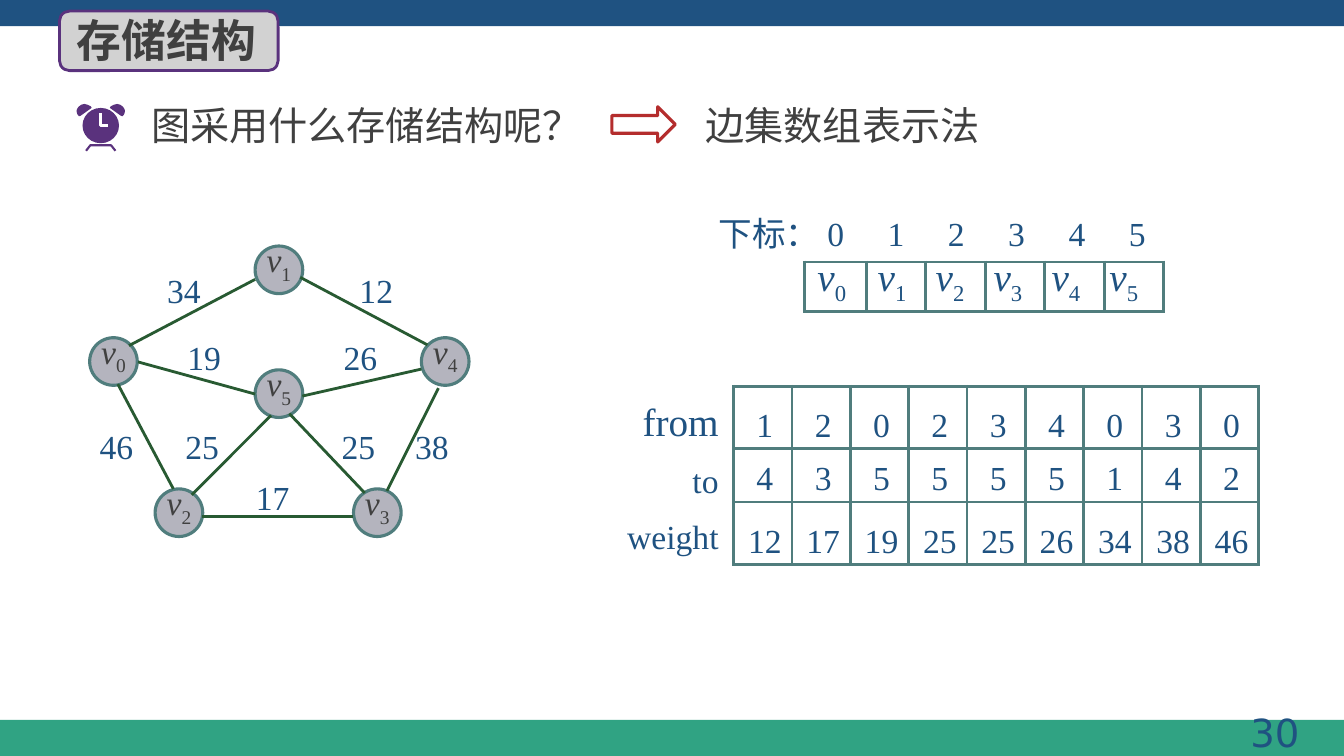
from lxml.etree import SubElement
from pptx import Presentation
from pptx.dml.color import RGBColor
from pptx.enum.shapes import MSO_CONNECTOR, MSO_SHAPE
from pptx.enum.text import MSO_ANCHOR, PP_ALIGN
from pptx.oxml import parse_xml
from pptx.oxml.ns import nsdecls, qn
from pptx.util import Cm, Pt

NAVY = RGBColor(0x1F, 0x52, 0x81)
GREEN = RGBColor(0x30, 0xA3, 0x83)
PURPLE = RGBColor(0x5A, 0x32, 0x7D)
RED = RGBColor(0xB4, 0x2D, 0x2D)
TEXT = RGBColor(0x40, 0x40, 0x40)
SILVER = RGBColor(0xD2, 0xD2, 0xD2)
NODE = RGBColor(0xB4, 0xB4, 0xBE)
TEAL = RGBColor(0x50, 0x7D, 0x7D)
EDGE = RGBColor(0x28, 0x5A, 0x32)
WHITE = RGBColor(0xFF, 0xFF, 0xFF)
SERIF = "Times New Roman"
CJK = "Noto Sans CJK SC"

VERTICES = [(0, 2.31), (4.17, 0), (1.65, 6.12), (6.65, 6.12), (8.36, 2.31), (4.17, 3.12)]
EDGES = [
    (1, 4, 12, (5.31, 0.79), (8.51, 2.49), (6.55, 0.48)),
    (2, 3, 17, (2.84, 6.81), (6.63, 6.81), (3.94, 5.69)),
    (0, 5, 19, (1.22, 2.92), (4.17, 3.73), (2.21, 2.16)),
    (2, 5, 25, (2.57, 6.27), (4.57, 4.27), (2.16, 4.42)),
    (3, 5, 25, (6.93, 6.22), (5.03, 4.22), (6.1, 4.42)),
    (4, 5, 26, (8.36, 3.1), (5.36, 3.78), (6.15, 2.16)),
    (0, 1, 34, (0.99, 2.51), (4.17, 0.84), (1.7, 0.48)),
    (3, 4, 38, (7.49, 6.17), (8.79, 3.58), (7.95, 4.42)),
    (0, 2, 46, (2.11, 6.12), (0.71, 3.48), (0, 4.42)),
]


def paint(shape, fill=None, line=None, weight=2.25):
    shape.shadow.inherit = False
    if fill is None:
        shape.fill.background()
    else:
        shape.fill.solid()
        shape.fill.fore_color.rgb = fill
    if line is None:
        shape.line.fill.background()
    else:
        shape.line.color.rgb = line
        shape.line.width = Pt(weight)
    return shape


def add_block(slide, kind, left, top, width, height, **look):
    block = slide.shapes.add_shape(kind, Cm(left), Cm(top), Cm(width), Cm(height))
    return paint(block, **look)


def style_run(run, size, color=NAVY, font=SERIF):
    run.font.size = Pt(size)
    run.font.name = font
    run.font.color.rgb = color


def add_label(slide, words, left, top, width, height, size, color=NAVY, font=SERIF,
              align=PP_ALIGN.LEFT):
    label = slide.shapes.add_textbox(Cm(left), Cm(top), Cm(width), Cm(height))
    label.text_frame.word_wrap = True
    label.text_frame.text = words
    for paragraph in label.text_frame.paragraphs:
        paragraph.alignment = align
        for run in paragraph.runs:
            style_run(run, size, color, font)
    return label


def write_vertex(paragraph, index, size, color, spacing):
    paragraph.line_spacing = Pt(spacing)
    for words in ("v", str(index)):
        run = paragraph.add_run()
        run.text = words
        style_run(run, size, color)
    letter, subscript = paragraph.runs
    letter.font.italic = True
    subscript._r.get_or_add_rPr().set("baseline", "-25000")


def add_outline(slide, points, closed, **look):
    corners = [(Cm(x), Cm(y)) for x, y in points]
    builder = slide.shapes.build_freeform(*corners[0])
    builder.add_line_segments(corners[1:], close=closed)
    return paint(builder.convert_to_shape(), **look)


def add_grid(slide, left, top, widths, heights):
    frame = slide.shapes.add_table(len(heights), len(widths), Cm(left), Cm(top),
                                   Cm(sum(widths)), Cm(sum(heights)))
    grid = frame.table
    grid.first_row = grid.horz_banding = False
    for column, width in zip(grid.columns, widths):
        column.width = Cm(width)
    for row, height in zip(grid.rows, heights):
        row.height = Cm(height)
    for cell_element in frame.element.iter(qn("a:tc")):
        properties = cell_element.get_or_add_tcPr()
        for side in ("lnL", "lnR", "lnT", "lnB"):
            properties.append(parse_xml(
                f'<a:{side} {nsdecls("a")} w="{Pt(2.25)}"><a:solidFill>'
                f'<a:srgbClr val="{TEAL}"/></a:solidFill></a:{side}>'))
    for cell in grid.iter_cells():
        cell.fill.background()
        cell.margin_left = cell.margin_right = cell.margin_top = cell.margin_bottom = 0
    return grid


def build_frame(slide, width, height):
    add_block(slide, MSO_SHAPE.RECTANGLE, 0, height - 0.91, width, 0.91, fill=GREEN)
    add_block(slide, MSO_SHAPE.RECTANGLE, 0, 0, width, 0.66, fill=NAVY)
    add_label(slide, "30", width - 8.34, height - 1.3, 7.47, 1.45, 27.6,
              font="DejaVu Sans", align=PP_ALIGN.RIGHT)


def build_title(slide, left, top, width, height):
    badge = add_block(slide, MSO_SHAPE.ROUNDED_RECTANGLE, left, top, width, height,
                      fill=SILVER, line=PURPLE, weight=2)
    title = slide.shapes.title
    badge.element.addnext(title.element)
    title.left, title.top = Cm(left + 0.18), Cm(top - 0.1)
    title.width, title.height = Cm(width - 0.13), Cm(height + 0.13)
    title.text_frame.text = "存储结构"
    title.text_frame.vertical_anchor = MSO_ANCHOR.MIDDLE
    heading = title.text_frame.paragraphs[0]
    heading.alignment = PP_ALIGN.LEFT
    style_run(heading.runs[0], 32, TEXT, CJK)
    heading.runs[0].font.bold = True


def build_clock(slide, left, top):
    bell = [(0.2, 0), (0.12, 0.02), (0.05, 0.07), (0.01, 0.13), (0, 0.19), (0.02, 0.26),
            (0.06, 0.31), (0.1, 0.3), (0.38, 0.1), (0.36, 0.06), (0.28, 0.02)]
    for mirrored in (False, True):
        add_outline(slide, [(left + (1.22 - x if mirrored else x), top + y) for x, y in bell],
                    True, fill=PURPLE)
    add_block(slide, MSO_SHAPE.OVAL, left + 0.15, top + 0.1, 0.92, 0.89, fill=PURPLE)
    feet = [(0.24, 1.18), (0.35, 1.04), (0.87, 1.04), (0.98, 1.18)]
    hands = [(0.61, 0.24), (0.61, 0.55), (0.79, 0.55)]
    for strokes, color, weight in ((feet, PURPLE, 1.5), (hands, WHITE, 2.25)):
        add_outline(slide, [(left + x, top + y) for x, y in strokes], False,
                    line=color, weight=weight)


def build_question(slide, left, top):
    build_clock(slide, left, top + 0.18)
    add_label(slide, "图采用什么存储结构呢？", left + 1.63, top, 11, 1.45, 28, TEXT, CJK)
    add_block(slide, MSO_SHAPE.RIGHT_ARROW, left + 13.49, top + 0.25, 1.6, 0.89, line=RED)
    add_label(slide, "边集数组表示法", left + 15.6, top, 11.38, 1.45, 28, TEXT, CJK)


def build_graph(slide, left, top):
    for index, (x, y) in enumerate(VERTICES):
        vertex = add_block(slide, MSO_SHAPE.OVAL, left + x, top + y, 1.2, 1.2,
                           fill=NODE, line=TEAL)
        frame = vertex.text_frame
        frame.margin_left = frame.margin_right = frame.margin_top = frame.margin_bottom = 0
        frame.paragraphs[0].alignment = PP_ALIGN.CENTER
        write_vertex(frame.paragraphs[0], index, 24, TEXT, 22)
    for _, _, weight, start, end, label in EDGES:
        edge = slide.shapes.add_connector(
            MSO_CONNECTOR.STRAIGHT, Cm(left + start[0]), Cm(top + start[1]),
            Cm(left + end[0]), Cm(top + end[1]))
        edge.line.color.rgb = EDGE
        edge.line.width = Pt(2)
        SubElement(edge.element.spPr, qn("a:effectLst"))
        add_label(slide, str(weight), left + label[0], top + label[1], 1.68, 1.27, 24)


def build_vertex_array(slide, left, top):
    count = len(VERTICES)
    subscripts = "\t".join(["下标：", *map(str, range(count))])
    indices = add_label(slide, subscripts, left - 2.41, top - 1.37, 11.89, 1.27, 24)
    stops = SubElement(indices.element.find(".//" + qn("a:pPr")), qn("a:tabLst"))
    for index in range(count):
        SubElement(stops, qn("a:tab"), pos=str(Cm(2.95 + 1.52 * index)), algn="ctr")
    array = add_grid(slide, left, top, [1.56] + [1.5] * (count - 1), [1.25])
    for index, cell in enumerate(array.iter_cells()):
        cell.margin_left = Cm(0.33 - 0.04 * index)
        cell.margin_top = Cm(0.13)
        write_vertex(cell.text_frame.paragraphs[0], index, 28, NAVY, 28)


def build_edge_array(slide, left, top):
    headings = add_label(slide, "from\nto\nweight", left - 3.43, top - 0.08, 3.05, 4.52, 24,
                         align=PP_ALIGN.RIGHT)
    headings.text_frame.margin_right = 0
    for paragraph in headings.text_frame.paragraphs:
        paragraph.line_spacing = Pt(40)
    headings.text_frame.paragraphs[0].runs[0].font.size = Pt(28)
    array = add_grid(slide, left, top, [1.47] * len(EDGES), [1.57, 1.35, 1.57])
    for column, edge in enumerate(EDGES):
        for row, value in enumerate(edge[:3]):
            cell = array.cell(row, column)
            cell.text_frame.text = str(value)
            cell.vertical_anchor = MSO_ANCHOR.BOTTOM
            cell.margin_left = cell.margin_bottom = Cm(0.1)
            paragraph = cell.text_frame.paragraphs[0]
            paragraph.alignment = PP_ALIGN.CENTER
            style_run(paragraph.runs[0], 24)


def set_east_asian_font(slide):
    for latin in slide.element.iter(qn("a:latin")):
        latin.addnext(parse_xml(f'<a:ea {nsdecls("a")} typeface="{CJK}"/>'))


def main():
    deck = Presentation()
    deck.slide_width, deck.slide_height = Cm(33.87), Cm(19.05)
    slide = deck.slides.add_slide(deck.slide_layouts[5])
    build_frame(slide, 33.87, 19.05)
    build_question(slide, 1.93, 2.44)
    build_graph(slide, 2.26, 6.2)
    build_vertex_array(slide, 20.27, 6.6)
    build_edge_array(slide, 18.49, 9.73)
    build_title(slide, 1.5, 0.28, 5.51, 1.5)
    set_east_asian_font(slide)
    deck.save("out.pptx")


if __name__ == "__main__":
    main()
